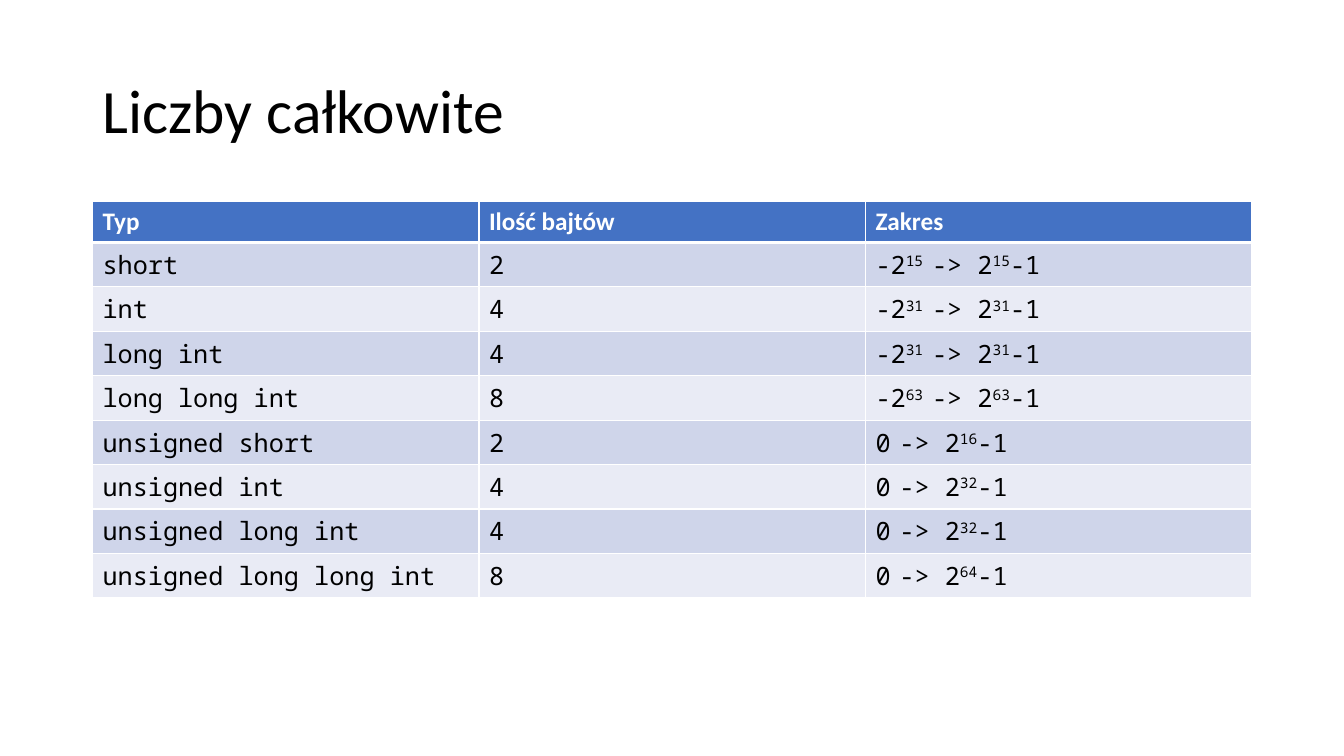
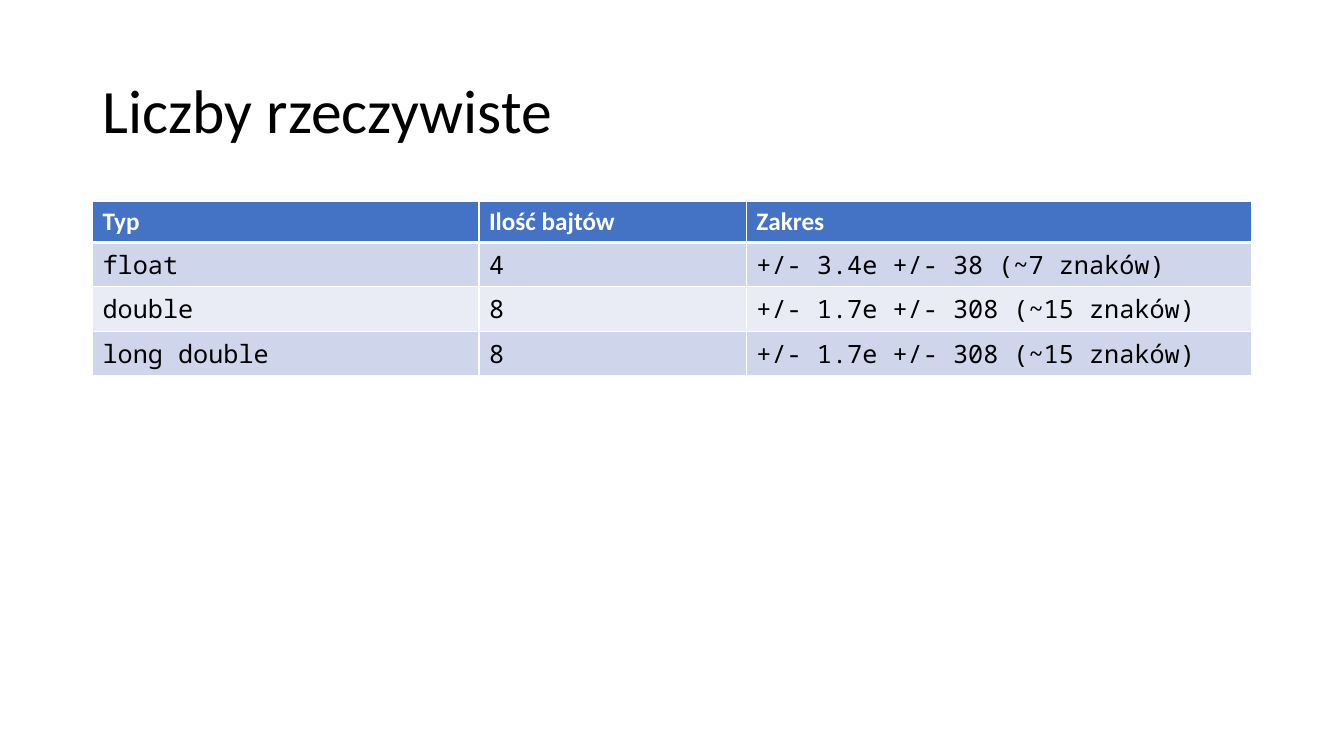
from dataclasses import dataclass

from lxml import etree
from pptx import Presentation
from pptx.dml.color import RGBColor
from pptx.enum.text import MSO_ANCHOR, PP_ALIGN
from pptx.oxml.ns import qn
from pptx.util import Cm, Pt

LEFT = PP_ALIGN.LEFT
MIDDLE = MSO_ANCHOR.MIDDLE

# Shared look
HUES = {
    "head": "4472C4",
    "odd": "CFD5EA",
    "even": "E9EBF5",
    "white": "FFFFFF",
    "black": "000000",
}
SANS, MONO = "Calibri", "Noto Sans Mono"
EDGE, WIDTH = Cm(2.33), Cm(29.21)
ROW = Cm(1.03)
HEADS = ("Typ", "Ilość bajtów", "Zakres")
TITLE_ONLY = 5


@dataclass
class Sheet:
    title: str
    cols: tuple[float, ...]  # widths in centimetres
    rows: list[tuple[str, str, str]]


# Text between a pair of ^ marks is raised
def signed(bits: int) -> str:
    return f"-2^{bits} ^-> 2^{bits}^-1"


def whole(bits: int) -> str:
    return f"0^ ^-> 2^{bits}^-1"


SHEETS = [
    Sheet("Liczby całkowite", (9.74, 9.74, 9.73), [
        ("short", "2", signed(15)),
        ("int", "4", signed(31)),
        ("long int", "4", signed(31)),
        ("long long int", "8", signed(63)),
        ("unsigned short", "2", whole(16)),
        ("unsigned int", "4", whole(32)),
        ("unsigned long int", "4", whole(32)),
        ("unsigned long long int", "8", whole(64)),
    ]),
    Sheet("Liczby rzeczywiste", (9.74, 6.74, 12.73), [
        ("float", "4", "+/- 3.4e +/- 38 (~7 znaków)"),
        ("double", "8", "+/- 1.7e +/- 308 (~15 znaków)"),
        ("long double", "8", "+/- 1.7e +/- 308 (~15 znaków)"),
    ]),
]


def rgb(name: str) -> RGBColor:
    return RGBColor.from_string(HUES[name])


def style(font, face: str, size: int, hue: str, bold: bool = False) -> None:
    font.name, font.size, font.bold = face, Pt(size), bold
    font.color.rgb = rgb(hue)


def rule(cell, top: int, base: int) -> None:
    """Draw white cell borders; top and base are widths in points."""
    props = cell._tc.get_or_add_tcPr()
    sides = (("L", 1), ("R", 1), ("T", top), ("B", base))
    for spot, (side, size) in enumerate(sides):
        line = etree.Element(qn(f"a:ln{side}"), w=str(Pt(size)))
        fill = etree.SubElement(line, qn("a:solidFill"))
        etree.SubElement(fill, qn("a:srgbClr"), val=HUES["white"])
        props.insert(spot, line)


def write(para, text: str) -> None:
    for spot, part in enumerate(text.split("^")):
        run = para.add_run()
        run.text = part
        if spot % 2:
            run.font._element.set("baseline", "30000")


def add_title(slide, text: str) -> None:
    title = slide.shapes.title
    title.left, title.top = EDGE, Cm(1.01)
    title.width, title.height = WIDTH, Cm(3.68)
    frame = title.text_frame
    frame.text, frame.vertical_anchor = text, MIDDLE
    para = frame.paragraphs[0]
    para.alignment, para.line_spacing = LEFT, 0.9
    style(para.font, SANS, 44, "black")


def add_grid(slide, sheet: Sheet) -> None:
    rows = [HEADS, *sheet.rows]
    grid = slide.shapes.add_table(
        len(rows), len(HEADS), EDGE, Cm(5.08), WIDTH, ROW * len(rows)
    ).table
    for col, width in zip(grid.columns, sheet.cols):
        col.width = Cm(width)
    for r, row in enumerate(rows):
        grid.rows[r].height = ROW
        band = "head" if r == 0 else "odd" if r % 2 else "even"
        for c, text in enumerate(row):
            cell = grid.cell(r, c)
            cell.fill.solid()
            cell.fill.fore_color.rgb = rgb(band)
            rule(cell, 3 if r == 1 else 1, 3 if r == 0 else 1)
            para = cell.text_frame.paragraphs[0]
            write(para, text)
            if r == 0:
                style(para.font, SANS, 18, "white", True)
            else:
                style(para.font, MONO, 18, "black")


def main() -> None:
    deck = Presentation()
    deck.slide_width, deck.slide_height = Cm(33.87), Cm(19.05)
    for sheet in SHEETS:
        slide = deck.slides.add_slide(deck.slide_layouts[TITLE_ONLY])
        add_title(slide, sheet.title)
        add_grid(slide, sheet)
    deck.save("out.pptx")


if __name__ == "__main__":
    main()
